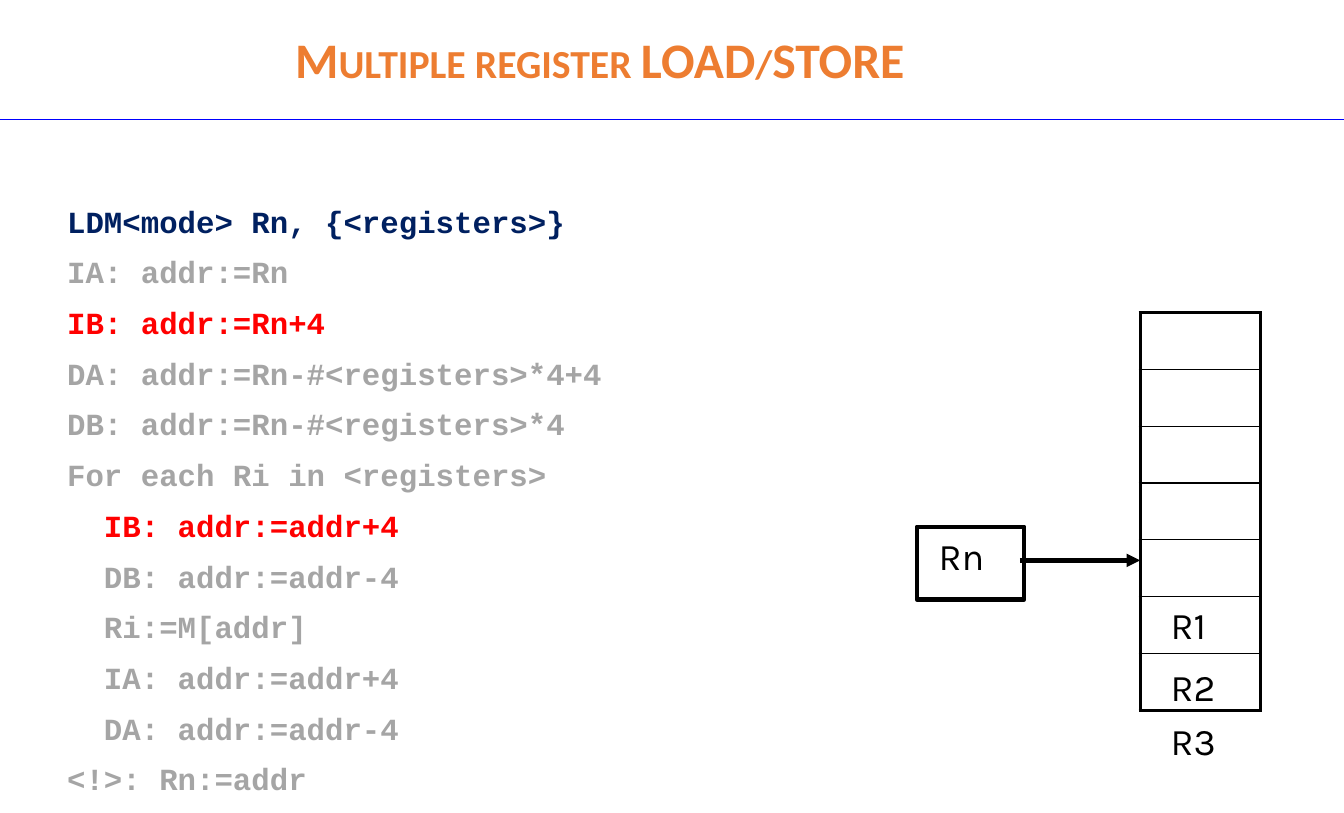
"""Build a slide on loading several registers with LDM in IB mode."""
from dataclasses import dataclass

from lxml.etree import SubElement as Sub
from pptx import Presentation
from pptx.dml.color import RGBColor
from pptx.enum.shapes import MSO_CONNECTOR as Link, MSO_SHAPE as Kind
from pptx.enum.text import MSO_ANCHOR as Anchor, MSO_AUTO_SIZE as Fit, PP_ALIGN as Align
from pptx.oxml.ns import qn
from pptx.util import Pt


@dataclass(frozen=True)
class Theme:
    black: str = "000000"
    blue: str = "0000FF"
    navy: str = "002060"
    grey: str = "A5A5A5"
    red: str = "FF0000"
    orange: str = "ED7D31"
    head: float = 33
    code: float = 20.4
    label: float = 25


THEME = Theme()
CODE = [
    ("LDM<mode> Rn, {<registers>}", THEME.navy),
    ("IA: addr:=Rn", THEME.grey),
    ("IB: addr:=Rn+4", THEME.red),
    ("DA: addr:=Rn-#<registers>*4+4", THEME.grey),
    ("DB: addr:=Rn-#<registers>*4", THEME.grey),
    ("For each Ri in <registers>", THEME.grey),
    ("  IB: addr:=addr+4", THEME.red),
    ("  DB: addr:=addr-4", THEME.grey),
    ("  Ri:=M[addr]", THEME.grey),
    ("  IA: addr:=addr+4", THEME.grey),
    ("  DA: addr:=addr-4", THEME.grey),
    ("<!>: Rn:=addr", THEME.grey),
]
LABELS = [("Rn", 614.9, 349.9), ("R1", 769, 395.3), ("R2", 769, 436.3), ("R3", 769, 472.3)]


def place(shape, left, top, width, height):
    shape.left, shape.top = Pt(left), Pt(top)
    shape.width, shape.height = Pt(width), Pt(height)


def set_frame(frame, side, edge, anchor):
    frame.word_wrap = True
    frame.auto_size = Fit.NONE
    frame.vertical_anchor = anchor
    frame.margin_left = frame.margin_right = Pt(side)
    frame.margin_top = frame.margin_bottom = Pt(edge)


def add_run(para, text, face, size, color, bold=False):
    run = para.add_run()
    run.text = text
    font = run.font
    font.name, font.size, font.bold = face, Pt(size), bold
    font.color.rgb = RGBColor.from_string(color)
    return run


def set_title(title, text):
    place(title, 10, 15, 777, 48)
    set_frame(title.text_frame, 7.2, 3.6, Anchor.MIDDLE)
    para = title.text_frame.paragraphs[0]
    para.alignment = Align.CENTER
    run = add_run(para, text, "Calibri", THEME.head, THEME.orange, True)
    run._r.get_or_add_rPr().set("cap", "small")


def set_code(body, lines):
    place(body, 37.4, 123.5, 803.5, 384)
    frame = body.text_frame
    set_frame(frame, 7.2, 3.6, Anchor.TOP)
    for num, (text, color) in enumerate(lines):
        para = frame.add_paragraph() if num else frame.paragraphs[0]
        props = para._p.get_or_add_pPr()
        props.set("marL", "0")
        props.set("indent", "0")
        Sub(props, qn("a:buNone"))
        para.line_spacing = 1.3
        para.space_before = Pt(1.85 if num else 0)
        add_run(para, text, "Courier New", THEME.code, color, True)


def add_edge(cell, side, width):
    edge = Sub(cell._tc.get_or_add_tcPr(), qn(f"a:ln{side}"), w=str(Pt(width)))
    fill = Sub(edge, qn("a:solidFill"))
    Sub(fill, qn("a:srgbClr"), val=THEME.black)


def add_stack(slide, left, top, width, step, count):
    frame = slide.shapes.add_table(count, 1, Pt(left), Pt(top), Pt(width), Pt(step * count))
    table = frame.table
    table.first_row = table.horz_banding = False
    for num in range(count):
        cell = table.cell(num, 0)
        upper = 1 if num else 2.25
        lower = 1 if num < count - 1 else 2.25
        for side, size in zip("LRTB", (2.25, 2.25, upper, lower)):
            add_edge(cell, side, size)
        cell.fill.background()


def add_box(slide, left, top, width, height):
    box = slide.shapes.add_shape(Kind.RECTANGLE, Pt(left), Pt(top), Pt(width), Pt(height))
    box.shadow.inherit = False
    box.fill.background()
    box.line.color.rgb = RGBColor.from_string(THEME.black)
    box.line.width = Pt(3)


def add_label(slide, text, left, top):
    frame = slide.shapes.add_textbox(Pt(left), Pt(top), Pt(59), Pt(39.6)).text_frame
    set_frame(frame, 8.64, 4.32, Anchor.TOP)
    add_run(frame.paragraphs[0], text, "Karla", THEME.label, THEME.black)


def add_line(slide, start, end, level, color, width, arrow=False):
    line = slide.shapes.add_connector(Link.STRAIGHT, Pt(start), Pt(level), Pt(end), Pt(level))
    line.line.color.rgb = RGBColor.from_string(color)
    line.line.width = Pt(width)
    if arrow:
        Sub(line.line._get_or_add_ln(), qn("a:tailEnd"), type="triangle")
    Sub(line._element.spPr, qn("a:effectLst"))


def main():
    deck = Presentation()
    deck.slide_width, deck.slide_height = Pt(892.8), Pt(540)
    slide = deck.slides.add_slide(deck.slide_layouts[1])
    title, body = slide.placeholders
    set_title(title, "Multiple register LOAD/STORE")
    set_code(body, CODE)
    add_stack(slide, 757.4, 207.6, 80, 37.75, 7)
    add_box(slide, 609.1, 349.9, 71.3, 48.2)
    for text, left, top in LABELS:
        add_label(slide, text, left, top)
    add_line(slide, 677.5, 757.4, 372.2, THEME.black, 3, True)
    add_line(slide, 0, 892.8, 79.2, THEME.blue, 0.75)
    deck.save("out.pptx")


if __name__ == "__main__":
    main()
